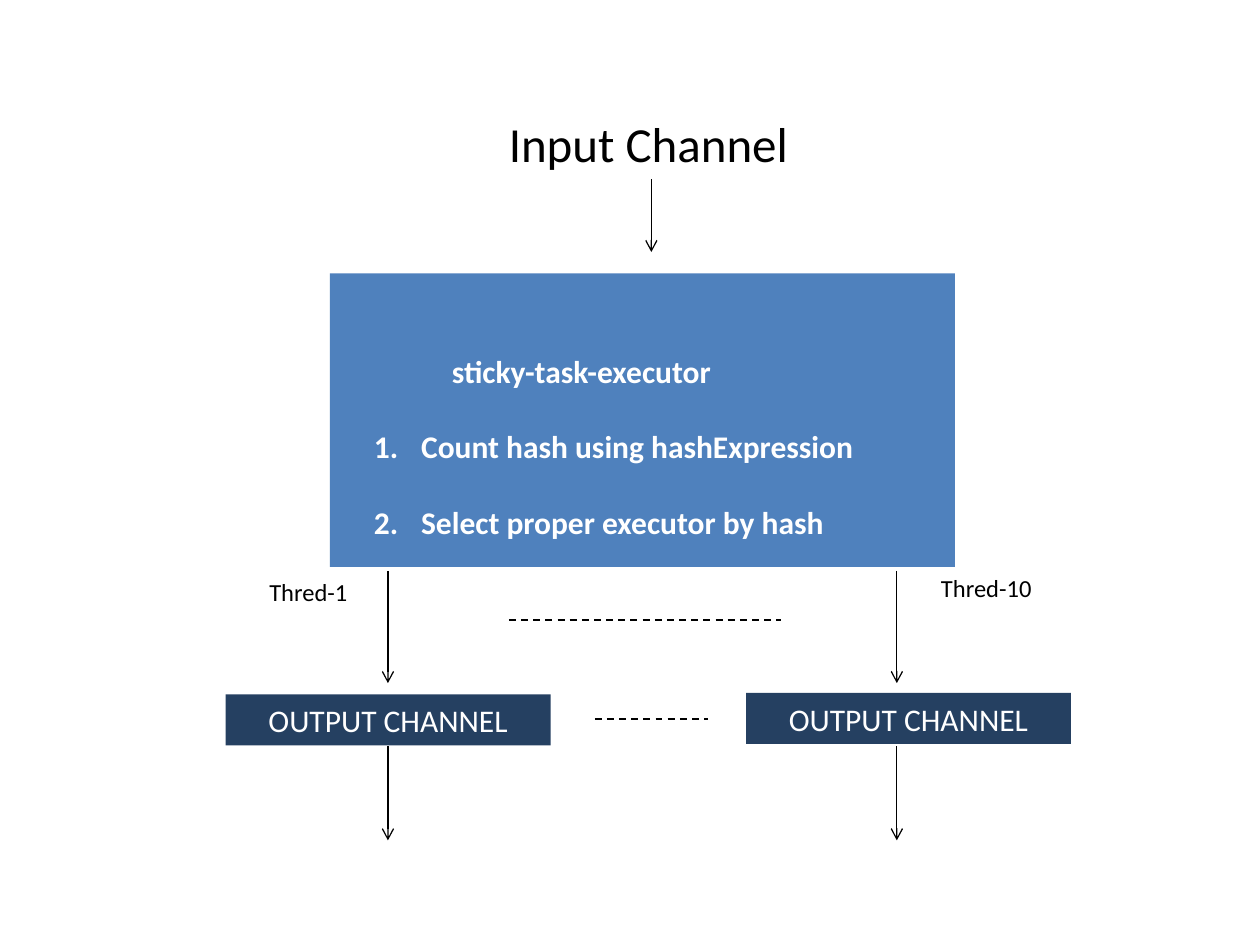
from dataclasses import dataclass

from lxml.etree import SubElement
from pptx import Presentation
from pptx.dml.color import RGBColor as RGB
from pptx.enum.dml import MSO_LINE_DASH_STYLE as Dash
from pptx.enum.shapes import MSO_CONNECTOR as Connector, MSO_SHAPE as Shape
from pptx.enum.text import MSO_ANCHOR as Anchor, MSO_AUTO_SIZE as AutoSize, PP_ALIGN as Align
from pptx.oxml.ns import qn
from pptx.util import Cm, Pt


@dataclass(frozen=True)
class Theme:
    font: str = "Calibri"
    ink: RGB = RGB(0, 0, 0)
    paper: RGB = RGB(255, 255, 255)
    executor: RGB = RGB(0x4F, 0x81, 0xBD)
    output: RGB = RGB(0x25, 0x40, 0x61)
    title: int = 28
    body: int = 18
    label: int = 14


theme = Theme()


def write(frame, lines, size, color, align=Align.LEFT, bold=False, spacing=1.0, wrap=True,
          anchor=Anchor.TOP, indent=0, hanging=0):
    frame.word_wrap = wrap
    frame.auto_size = AutoSize.SHAPE_TO_FIT_TEXT
    frame.vertical_anchor = anchor
    for number, line in enumerate(lines):
        paragraph = frame.add_paragraph() if number else frame.paragraphs[0]
        paragraph.alignment = align
        paragraph.line_spacing = spacing
        run = paragraph.add_run()
        run.text = line
        run.font.name = theme.font
        run.font.size = Pt(size)
        run.font.bold = bold
        run.font.color.rgb = color
        properties = paragraph._p.get_or_add_pPr()
        if number and hanging:
            properties.set("marL", str(Cm(hanging)))
            properties.set("indent", str(-Cm(hanging)))
            SubElement(properties, qn("a:buFont"), typeface="+mj-lt")
            SubElement(properties, qn("a:buAutoNum"), type="arabicPeriod")
        elif indent:
            properties.set("marL", str(Cm(indent)))
            properties.set("indent", "0")


def connect(start_x, start_y, end_x, end_y, width=0.75, dashed=False):
    connector = slide.shapes.add_connector(
        Connector.STRAIGHT, Cm(start_x), Cm(start_y), Cm(end_x), Cm(end_y))
    connector.line.color.rgb = theme.ink
    connector.line.width = Pt(width)
    if dashed:
        connector.line.dash_style = Dash.DASH
    else:
        SubElement(connector.line._get_or_add_ln(), qn("a:tailEnd"), type="arrow")
    SubElement(connector._element.spPr, qn("a:effectLst"))


deck = Presentation()
deck.slide_width, deck.slide_height = Cm(25.4), Cm(19.05)
slide = deck.slides.add_slide(deck.slide_layouts[6])

input_channel = slide.shapes.add_textbox(Cm(9.63), Cm(2.16), Cm(6.88), Cm(1.45))
write(input_channel.text_frame, ["Input Channel"], theme.title, theme.ink, align=Align.CENTER)

executor = slide.shapes.add_shape(Shape.RECTANGLE, Cm(6.65), Cm(5.51), Cm(12.6), Cm(5.92))
executor.shadow.inherit = False
executor.fill.solid()
executor.fill.fore_color.rgb = theme.executor
executor.line.fill.background()

steps = slide.shapes.add_textbox(Cm(7.29), Cm(6.2), Cm(11.43), Cm(4.88))
write(steps.text_frame,
      ["sticky-task-executor", "Count hash using hashExpression", "Select proper executor by hash"],
      theme.body, theme.paper, bold=True, spacing=2.0, indent=1.57, hanging=0.95)

for left, top in [(15.04, 13.97), (4.55, 14)]:
    output = slide.shapes.add_shape(Shape.RECTANGLE, Cm(left), Cm(top), Cm(6.55), Cm(1.03))
    output.shadow.inherit = False
    output.fill.solid()
    output.fill.fore_color.rgb = theme.output
    output.line.fill.background()
    write(output.text_frame, ["OUTPUT CHANNEL"], theme.body, theme.paper,
          align=Align.CENTER, anchor=Anchor.MIDDLE)

for thread_x in (7.82, 18.08):
    for top, bottom in [(11.51, 13.77), (15.04, 16.94)]:
        connect(thread_x, top, thread_x, bottom)

for left, right, y in [(10.26, 15.75, 12.5), (11.99, 14.27, 14.5)]:
    connect(left, y, right, y, width=1, dashed=True)

for thread, left, top, width in [("Thred-1", 5.18, 11.51, 2.11), ("Thred-10", 18.72, 11.43, 2.36)]:
    label = slide.shapes.add_textbox(Cm(left), Cm(top), Cm(width), Cm(0.86))
    write(label.text_frame, [thread], theme.label, theme.ink, wrap=False)

connect(13.13, 3.61, 13.13, 5.08)

deck.save("out.pptx")
